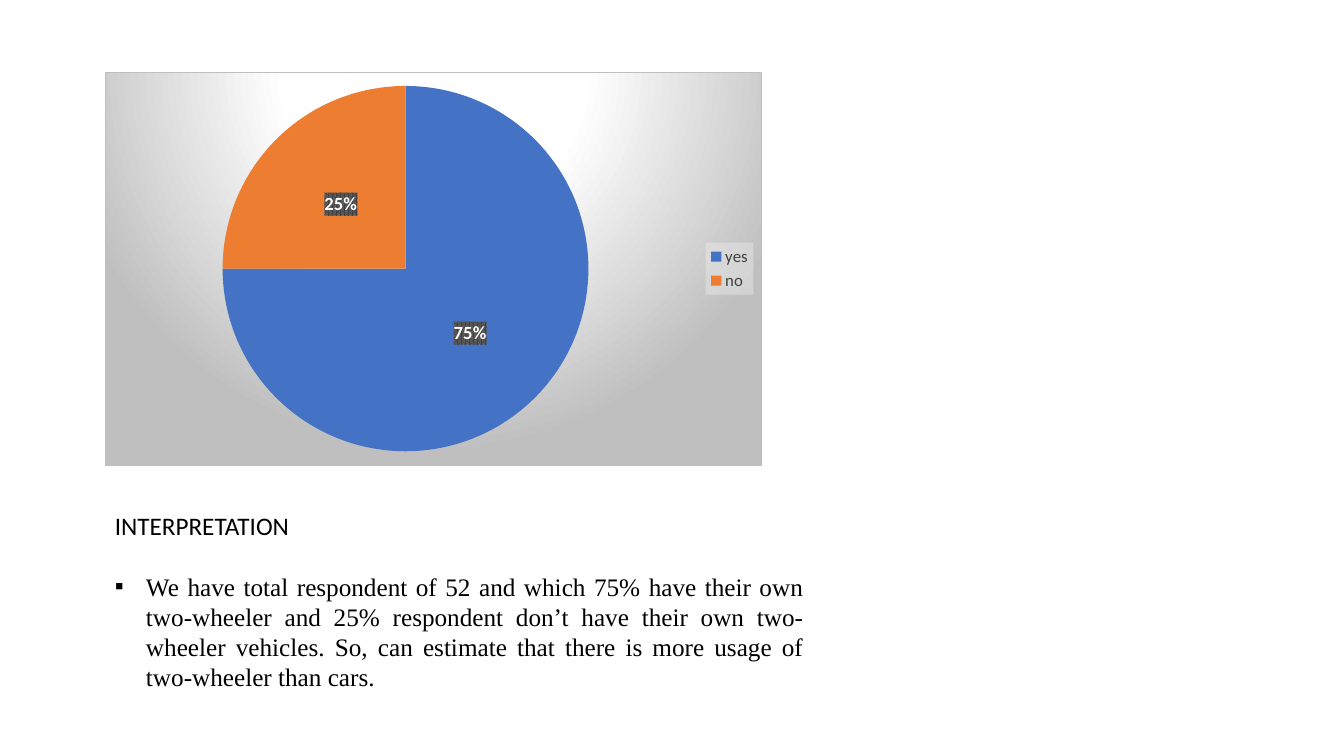
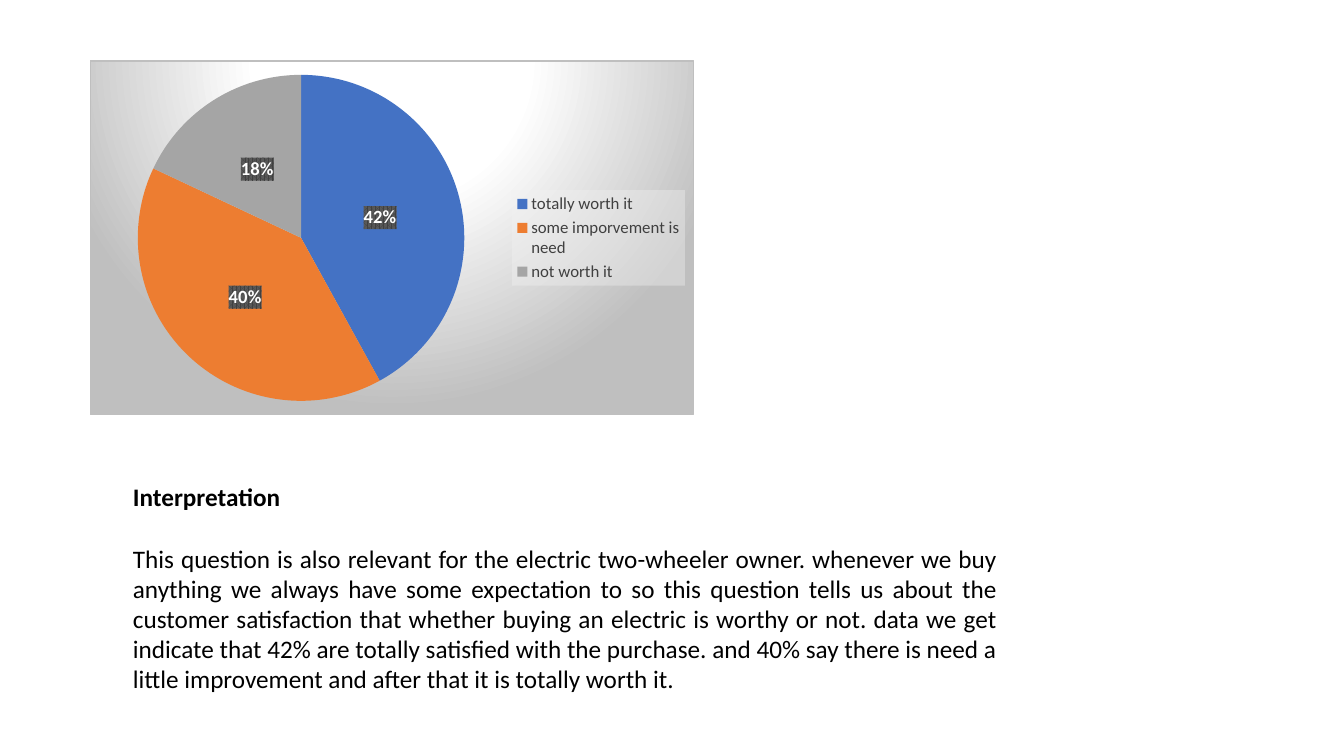
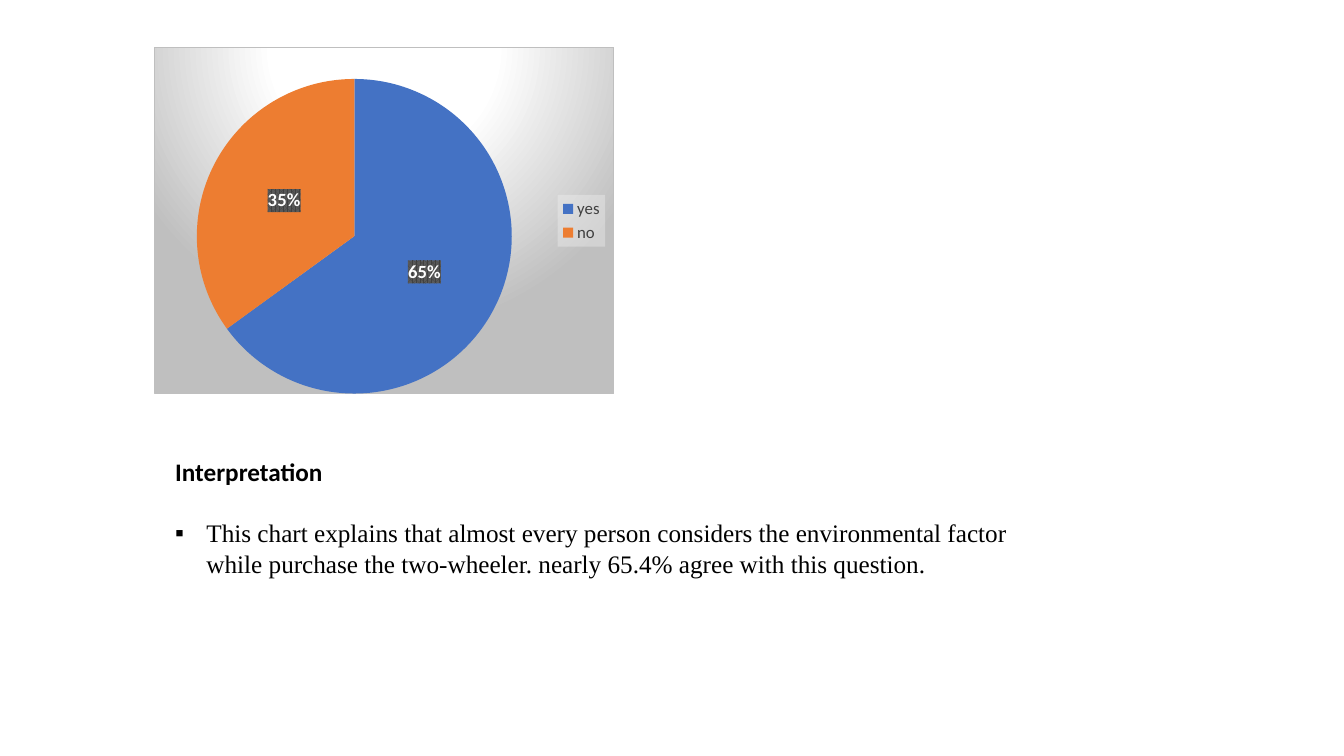
from collections import namedtuple

from lxml import etree
from pptx import Presentation
from pptx.chart.data import CategoryChartData
from pptx.dml.color import RGBColor
from pptx.enum.chart import XL_CHART_TYPE, XL_LABEL_POSITION, XL_LEGEND_POSITION
from pptx.enum.text import MSO_AUTO_SIZE, PP_ALIGN
from pptx.oxml import parse_xml
from pptx.oxml.ns import nsdecls, qn
from pptx.util import Inches, Pt

# Shared style
COLORS = {
    "text": "000000",
    "legend_text": "404040",
    "legend_back": "F2F2F2",
    "label_text": "FFFFFF",
    "label_dots": "404040",
    "label_back": "595959",
    "glow": "FFFFFF",
    "edge": "BFBFBF",
}
SLICES = ["4472C4", "ED7D31", "A5A5A5"]
SANS, SERIF = "Calibri", "Times New Roman"
BODY_SIZE, HEADING_GAP = Pt(18), Pt(22)
BULLET_INDENT = Inches(0.31)

# Boxes are percentages of the slide's width and height
Box = namedtuple("Box", "left top width height")

deck = Presentation()
deck.slide_width, deck.slide_height = Inches(13.33), Inches(7.5)


def place(box):
    wide, high = deck.slide_width / 100, deck.slide_height / 100
    return (int(box.left * wide), int(box.top * high),
            int(box.width * wide), int(box.height * high))


def style_font(font, size, color, name=SANS, bold=False):
    font.size, font.name, font.bold = size, name, bold
    font.color.rgb = RGBColor.from_string(COLORS[color])


def add_back(parent, fill):
    """Insert a background just before the text properties of a chart part."""
    back = parse_xml(f'<c:spPr {nsdecls("c", "a")}>{fill}</c:spPr>')
    parent.find(qn("c:txPr")).addprevious(back)


def color_xml(name, extra=""):
    return f'<a:srgbClr val="{COLORS[name]}">{extra}</a:srgbClr>'


PANEL_BACK = (
    '<a:gradFill rotWithShape="1"><a:gsLst>'
    f'<a:gs pos="0">{color_xml("glow")}</a:gs>'
    f'<a:gs pos="39000">{color_xml("glow")}</a:gs>'
    f'<a:gs pos="100000">{color_xml("edge")}</a:gs></a:gsLst>'
    '<a:path path="circle">'
    '<a:fillToRect l="50000" t="-80000" r="50000" b="180000"/></a:path>'
    '</a:gradFill>'
    f'<a:ln w="9525"><a:solidFill>{color_xml("edge")}</a:solidFill></a:ln>')
LEGEND_BACK = ('<a:solidFill>'
               + color_xml("legend_back", '<a:alpha val="39000"/>')
               + '</a:solidFill>')
LABEL_BACK = ('<a:pattFill prst="pct75">'
              f'<a:fgClr>{color_xml("label_dots")}</a:fgClr>'
              f'<a:bgClr>{color_xml("label_back")}</a:bgClr></a:pattFill>')


def set_plot_area(chart, area):
    """Fix the inner plot area, given as shares of the chart."""
    plot_area = chart.element.find(".//" + qn("c:plotArea"))
    for old in plot_area.findall(qn("c:layout")):
        plot_area.remove(old)
    layout = parse_xml(f'<c:layout {nsdecls("c")}/>')
    manual = etree.SubElement(layout, qn("c:manualLayout"))
    settings = [("layoutTarget", "inner"), ("xMode", "edge"), ("yMode", "edge"),
                *zip("xywh", area)]
    for tag, value in settings:
        etree.SubElement(manual, qn("c:" + tag)).set("val", str(value))
    plot_area.insert(0, layout)


def add_pie(page, box, answers, plot_area=None):
    data = CategoryChartData()
    data.categories = list(answers)
    data.add_series("Series 1", list(answers.values()))
    chart = page.shapes.add_chart(XL_CHART_TYPE.PIE, *place(box), data).chart
    chart.has_title = False
    style_font(chart.font, Pt(10), "text")
    add_back(chart.element, PANEL_BACK)

    # Legend
    chart.has_legend = True
    legend = chart.legend
    legend.position = XL_LEGEND_POSITION.RIGHT
    legend.include_in_layout = False
    style_font(legend.font, Pt(12), "legend_text")
    add_back(legend.font and legend._element, LEGEND_BACK)

    # Slices and their labels
    plot = chart.plots[0]
    plot.vary_by_categories = True
    for index, color in enumerate(SLICES[:len(answers)]):
        fill = plot.series[0].points[index].format.fill
        fill.solid()
        fill.fore_color.rgb = RGBColor.from_string(color)
    plot.has_data_labels = True
    labels = plot.data_labels
    labels.show_value, labels.show_percentage = False, True
    labels.number_format, labels.number_format_is_linked = "0%", False
    labels.position = XL_LABEL_POSITION.CENTER
    style_font(labels.font, Pt(13.3), "label_text", bold=True)
    add_back(labels._element, LABEL_BACK)

    if plot_area:
        set_plot_area(chart, plot_area)


def add_run(para, text, name=SANS, bold=False):
    span = para.add_run()
    span.text = text
    style_font(span.font, BODY_SIZE, "text", name, bold)


def set_bullet(para):
    properties = para._p.get_or_add_pPr()
    properties.set("marL", str(BULLET_INDENT))
    properties.set("indent", str(-BULLET_INDENT))
    etree.SubElement(properties, qn("a:buFont")).set("typeface", "Arial")
    etree.SubElement(properties, qn("a:buChar")).set("char", "▪")


def add_interpretation(page, box, heading, body, bold=True, bullet=True,
                       justify=True):
    frame = page.shapes.add_textbox(*place(box)).text_frame
    frame.word_wrap = True
    frame.auto_size = MSO_AUTO_SIZE.SHAPE_TO_FIT_TEXT
    title = frame.paragraphs[0]
    title.space_after = HEADING_GAP
    add_run(title, heading, bold=bold)
    para = frame.add_paragraph()
    para.alignment = PP_ALIGN.JUSTIFY if justify else PP_ALIGN.LEFT
    if bullet:
        set_bullet(para)
    add_run(para, body, SERIF if bullet else SANS)


def add_question(pie, interpretation):
    page = deck.slides.add_slide(deck.slide_layouts[6])
    add_pie(page, **pie)
    add_interpretation(page, **interpretation)


# Two-wheeler ownership
add_question(
    dict(box=Box(7.8, 9.47, 48.91, 52.13), answers={"yes": 75, "no": 25}),
    dict(box=Box(7.8, 66.8, 52.74, 29.6), heading="INTERPRETATION", bold=False,
         body="We have total respondent of 52 and which 75% have their own "
              "two-wheeler and 25% respondent don’t have their own two-wheeler "
              "vehicles. So, can estimate that there is more usage of "
              "two-wheeler than cars."))

# Customer satisfaction
add_question(
    dict(box=Box(6.68, 8, 44.94, 46.93),
         answers={"totally worth it": 42, "some imporvement is need": 40,
                  "not worth it": 18}),
    dict(box=Box(9.15, 63.07, 65.79, 29.6), heading="Interpretation",
         bullet=False,
         body="This question is also relevant for the electric two-wheeler "
              "owner. whenever we buy anything we always have some expectation "
              "to so this question tells us about the customer satisfaction "
              "that whether buying an electric is worthy or not. data we get "
              "indicate that 42% are totally satisfied with the purchase. and "
              "40% say there is need a little improvement and after that it is "
              "totally worth it."))

# Environmental factor
add_question(
    dict(box=Box(11.48, 6.27, 34.21, 45.87), answers={"yes": 65, "no": 35},
         plot_area=(0.09, 0.09, 0.69, 0.91)),
    dict(box=Box(12.3, 59.73, 67.74, 21.6), heading="Interpretation",
         justify=False,
         body="This chart explains that almost every person considers the "
              "environmental factor while purchase the two-wheeler. nearly "
              "65.4% agree with this question."))

deck.save("out.pptx")
